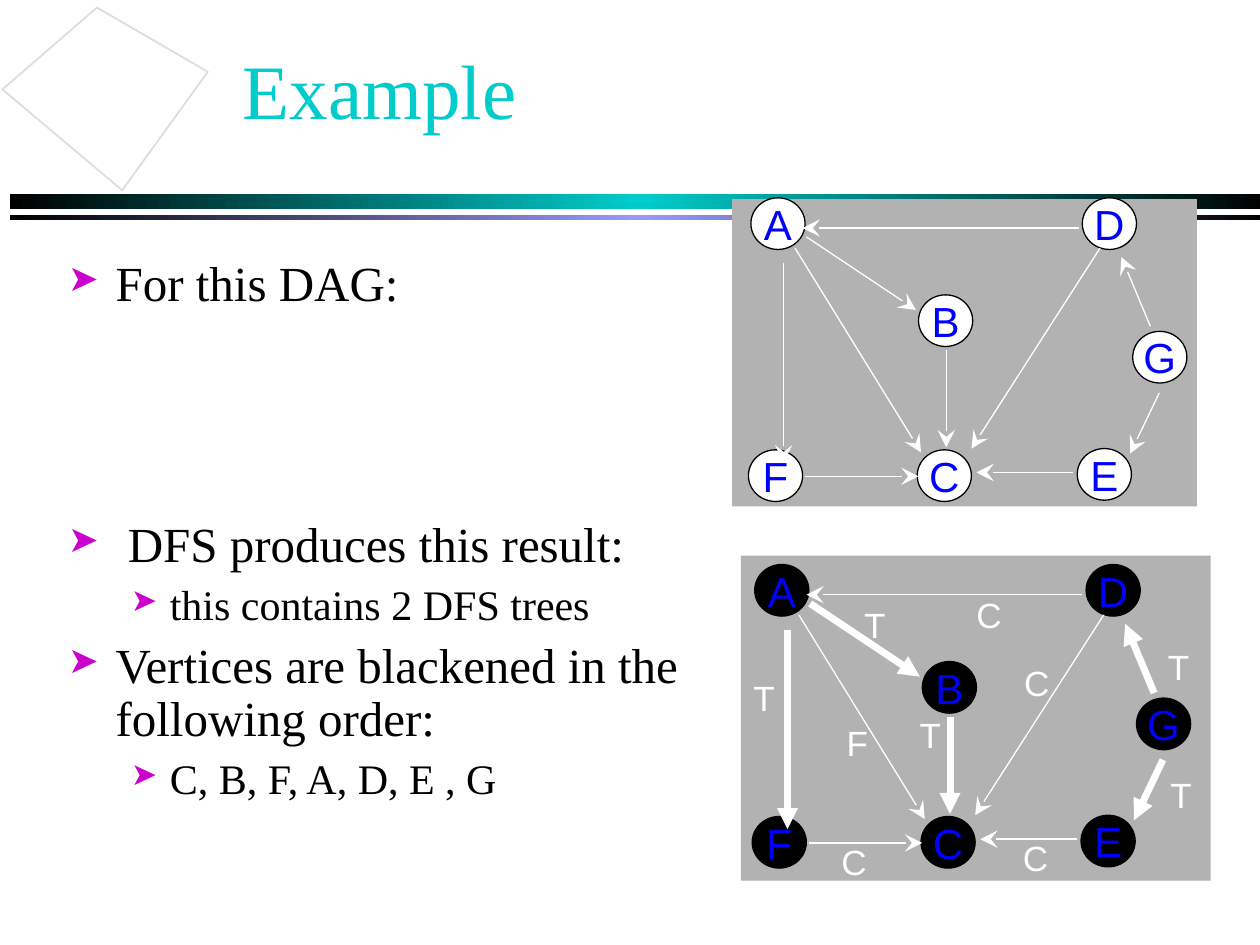
from copy import deepcopy

from lxml.etree import SubElement
from pptx import Presentation
from pptx.dml.color import RGBColor
from pptx.enum.shapes import MSO_CONNECTOR, MSO_SHAPE
from pptx.enum.text import MSO_ANCHOR, PP_ALIGN
from pptx.oxml.ns import qn
from pptx.util import Inches, Pt

WHITE, BLACK, GRAY = "FFFFFF", "000000", "B2B2B2"
TEAL, BLUE, PURPLE = "00CCCC", "0000FF", "CC00CC"
SERIF, SANS = "Times New Roman", "Arial"


def color(hex_text):
    return RGBColor.from_string(hex_text)


def write(paragraph, text, size=24, font=SANS, ink=BLACK, align=None,
          before=None, spacing=None):
    run = paragraph.add_run()
    run.text = text
    run.font.size = Pt(size)
    run.font.name = font
    run.font.color.rgb = color(ink)
    if align is not None:
        paragraph.alignment = align
    if before is not None:
        paragraph.space_before = Pt(before)
    if spacing is not None:
        paragraph.line_spacing = spacing
    return run


class SlideBuilder:
    def __init__(self, slide):
        self.slide = slide
        self.shapes = slide.shapes

    def shape(self, kind, left, top, width, height, fill=None, line=None):
        item = self.shapes.add_shape(
            kind, Inches(left), Inches(top), Inches(width), Inches(height))
        item.shadow.inherit = False
        if fill:
            item.fill.solid()
            item.fill.fore_color.rgb = color(fill)
        if line:
            item.line.color.rgb = color(line)
            item.line.width = Pt(0.75)
        else:
            item.line.fill.background()
        return item

    def gradient_bar(self, top, height, middle):
        bar = self.shape(MSO_SHAPE.RECTANGLE, 0.08, top, 9.99, height)
        bar.fill.gradient()
        bar.fill.gradient_angle = 0
        stops = bar._element.spPr.find(".//" + qn("a:gsLst"))
        stops.insert(1, deepcopy(stops[0]))
        settings = ((0, BLACK), (0.5, middle), (1, BLACK))
        for stop, (position, tone) in zip(bar.fill.gradient_stops, settings):
            stop.position = position
            stop.color.rgb = color(tone)

    def outline(self, points, fill, line):
        start, *rest = [(Inches(x), Inches(y)) for x, y in points]
        builder = self.shapes.build_freeform(*start)
        builder.add_line_segments(rest, close=True)
        item = builder.convert_to_shape()
        item.shadow.inherit = False
        item.fill.solid()
        item.fill.fore_color.rgb = color(fill)
        item.line.color.rgb = color(line)
        item.line.width = Pt(1)

    def text_box(self, left, top, width, height, anchor=MSO_ANCHOR.TOP):
        box = self.shapes.add_textbox(
            Inches(left), Inches(top), Inches(width), Inches(height))
        frame = box.text_frame
        frame.word_wrap = True
        frame.vertical_anchor = anchor
        return frame

    def title(self, text):
        frame = self.text_box(1.83, 0.08, 8.5, 1.25, MSO_ANCHOR.MIDDLE)
        run = write(frame.paragraphs[0], text, size=44, font=SERIF, ink=TEAL)
        # Text shadow, placed right after the run's fill
        properties = run.font._element
        effects = SubElement(properties, qn("a:effectLst"))
        shadow = SubElement(effects, qn("a:outerShdw"), dist="25400", dir="2700000")
        SubElement(shadow, qn("a:srgbClr"), val=BLACK)
        properties.find(qn("a:solidFill")).addnext(effects)

    def bullets(self, items):
        frame = self.text_box(0.44, 2.01, 5.36, 4.5)
        for index, (level, before, text) in enumerate(items):
            paragraph = frame.paragraphs[0] if index == 0 else frame.add_paragraph()
            paragraph.level = level
            margin, indent, size = ((0.38, -0.38, 28), (0.81, -0.31, 24))[level]
            properties = paragraph._p.get_or_add_pPr()
            properties.set("marL", str(Inches(margin)))
            properties.set("indent", str(Inches(indent)))
            tint = SubElement(properties, qn("a:buClr"))
            SubElement(tint, qn("a:srgbClr"), val=PURPLE)
            SubElement(properties, qn("a:buSzPct"), val="75000")
            SubElement(properties, qn("a:buChar"), char="➤")
            write(paragraph, text, size=size, font=SERIF, before=before, spacing=0.9)

    def node(self, name, left, top, fill):
        circle = self.shape(MSO_SHAPE.OVAL, left, top, 0.43, 0.41, fill, BLACK)
        frame = circle.text_frame
        frame.word_wrap = False
        frame.vertical_anchor = MSO_ANCHOR.MIDDLE
        write(frame.paragraphs[0], name, ink=BLUE, align=PP_ALIGN.CENTER)

    def arrow(self, x1, y1, x2, y2, bold=False):
        edge = self.shapes.add_connector(
            MSO_CONNECTOR.STRAIGHT, Inches(x1), Inches(y1), Inches(x2), Inches(y2))
        edge.line.color.rgb = color(WHITE)
        edge.line.width = Pt(4 if bold else 0.75)
        head, size = ("triangle", "med") if bold else ("stealth", "lg")
        SubElement(edge.line._get_or_add_ln(), qn("a:tailEnd"),
                   type=head, w=size, len=size)
        SubElement(edge._element.spPr, qn("a:effectLst"))

    def edge_label(self, text, left, top):
        frame = self.text_box(left, top, 0.48, 0.44)
        write(frame.paragraphs[0], text, size=20, ink=WHITE)

    def graph(self, dx, dy, fill, tree_edges=()):
        for name, (x, y) in NODES.items():
            self.node(name, x + dx, y + dy, fill)
        for name, (x1, y1, x2, y2) in EDGES.items():
            self.arrow(x1 + dx, y1 + dy, x2 + dx, y2 + dy, name in tree_edges)


NODES = {
    "A": (5.96, 1.57), "B": (7.29, 2.34), "C": (7.28, 3.57), "D": (8.59, 1.57),
    "E": (8.55, 3.56), "F": (5.94, 3.57), "G": (8.99, 2.63),
}
EDGES = {
    "AF": (6.22, 2.09, 6.22, 3.67), "DA": (8.56, 1.81, 6.37, 1.81),
    "DC": (8.73, 1.97, 7.71, 3.56), "FC": (6.39, 3.78, 7.29, 3.78),
    "EC": (8.52, 3.75, 7.75, 3.75), "AC": (6.31, 1.97, 7.31, 3.59),
    "AB": (6.4, 1.88, 7.27, 2.46), "BC": (7.51, 2.78, 7.51, 3.55),
    "GE": (9.2, 3.12, 8.97, 3.6), "GD": (9.13, 2.59, 8.9, 2.04),
}
EDGE_LABELS = {
    "T": [(5.88, 5.32), (6.76, 4.74), (7.2, 5.61), (9.17, 5.07), (9.19, 6.09)],
    "F": [(6.62, 5.68)],
    "C": [(6.58, 6.62), (8.02, 6.59), (8.03, 5.2), (7.65, 4.66)],
}
POINTS = [
    (0, None, "For this DAG:"),
    (0, 119, " DFS produces this result:"),
    (1, 6, "this contains 2 DFS trees"),
    (0, 7, "Vertices are blackened in the following order:"),
    (1, 6, "C, B, F, A, D, E , G"),
]


def main():
    deck = Presentation()
    deck.slide_width, deck.slide_height = Inches(10), Inches(7.5)
    page = SlideBuilder(deck.slides.add_slide(deck.slide_layouts[6]))

    # Decoration and graph panels
    page.gradient_bar(1.54, 0.12, TEAL)
    page.gradient_bar(1.71, 0.04, "9999FF")
    page.outline([(0.97, 1.51), (0.02, 0.71), (0.77, 0.06), (1.65, 0.57)],
                 WHITE, "DDDDDD")
    page.shape(MSO_SHAPE.RECTANGLE, 5.88, 4.41, 3.73, 2.58, GRAY)
    page.shape(MSO_SHAPE.RECTANGLE, 5.81, 1.58, 3.69, 2.44, GRAY)

    # Title and points
    page.title("Example")
    page.bullets(POINTS)

    # The DAG, then its depth-first search result
    page.graph(0, 0, WHITE)
    page.graph(0.03, 2.91, BLACK, tree_edges=("AF", "AB", "BC", "GE", "GD"))
    for text, places in EDGE_LABELS.items():
        for left, top in places:
            page.edge_label(text, left, top)

    deck.save("out.pptx")


if __name__ == "__main__":
    main()
